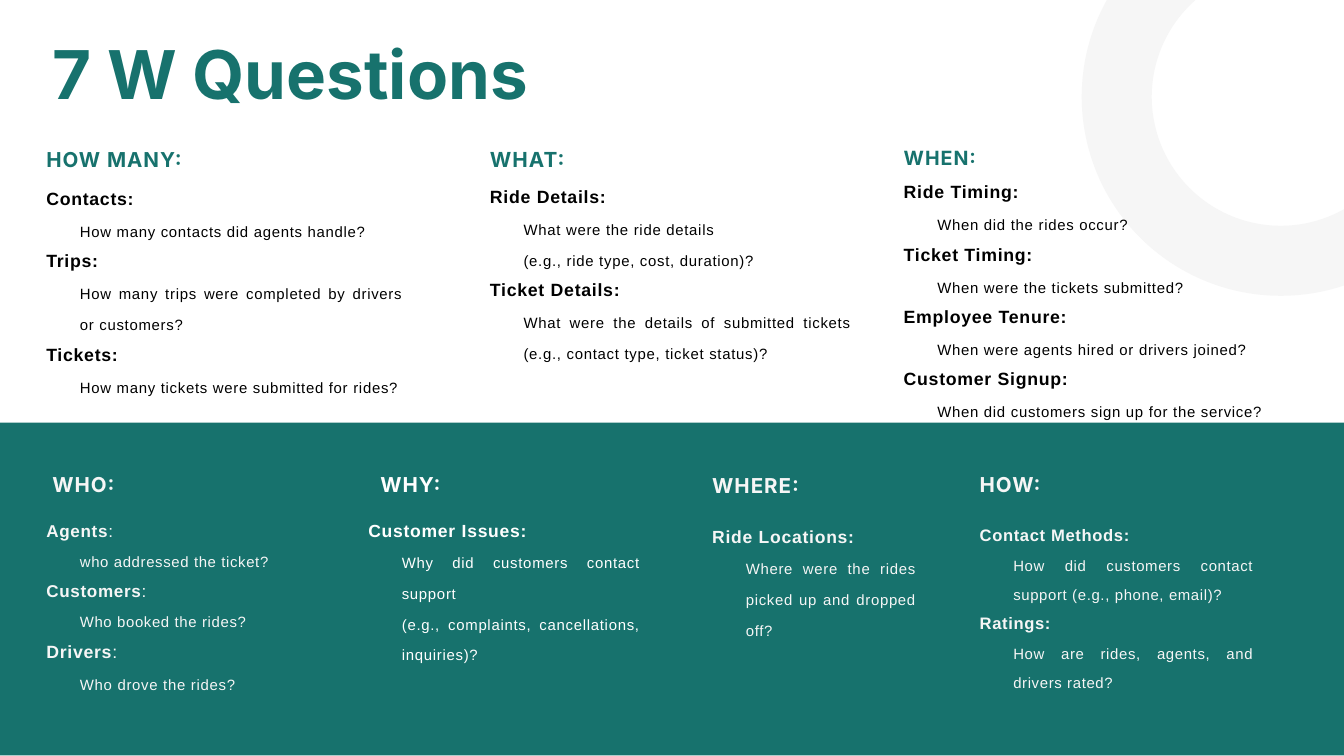
from pptx import Presentation
from pptx.dml.color import RGBColor
from pptx.enum.shapes import MSO_SHAPE
from pptx.enum.text import MSO_AUTO_SIZE, PP_ALIGN
from pptx.util import Cm, Pt

RECT, OVAL = MSO_SHAPE.RECTANGLE, MSO_SHAPE.OVAL
LEFT, JUST = PP_ALIGN.LEFT, PP_ALIGN.JUSTIFY
GROW = MSO_AUTO_SIZE.SHAPE_TO_FIT_TEXT

TEAL, PALE, WHITE, BLACK = "17726D", "F6F6F6", "FFFFFF", "000000"
HEAD, BODY = "Inter", "Arial"
WIDE, HIGH = 50.8, 28.58
BAND = 15.98


def color(code):
    return RGBColor.from_string(code)


class Deck:
    def __init__(self):
        self.prs = Presentation()
        self.prs.slide_width, self.prs.slide_height = Cm(WIDE), Cm(HIGH)
        self.slide = self.prs.slides.add_slide(self.prs.slide_layouts[6])

    def shape(self, kind, x, y, w, h, fill=None, line=None, width=0):
        item = self.slide.shapes.add_shape(kind, Cm(x), Cm(y), Cm(w), Cm(h))
        item.shadow.inherit = False
        if fill:
            item.fill.solid()
            item.fill.fore_color.rgb = color(fill)
        else:
            item.fill.background()
        if line:
            item.line.color.rgb = color(line)
            item.line.width = Pt(width)
        else:
            item.line.fill.background()

    def box(self, x, y, w, h):
        frame = self.slide.shapes.add_textbox(Cm(x), Cm(y), Cm(w), Cm(h)).text_frame
        frame.margin_left = frame.margin_right = 0
        frame.margin_top = frame.margin_bottom = 0
        frame.word_wrap = True
        frame.auto_size = GROW
        return frame

    def text(self, frame, *parts, size, font, ink, lead, track=0, align=LEFT, inset=0):
        """Add a paragraph; each part is a (words, bold) pair."""
        para = frame.paragraphs[0]
        if para.runs:
            para = frame.add_paragraph()
        para.alignment = align
        para.line_spacing = Pt(lead)
        if inset:
            para.level = 1
            props = para._p.get_or_add_pPr()
            props.set("marL", str(Cm(inset)))
            props.set("indent", "0")
        for words, bold in parts:
            run = para.add_run()
            run.text = words
            run.font.size, run.font.name, run.font.bold = Pt(size), font, bold
            run.font.color.rgb = color(ink)
            run._r.get_or_add_rPr().set("spc", str(round(track * 100)))

    def head(self, words, x, y, w, size, ink):
        self.text(self.box(x, y, w, 1.04), (words, True), size=size, font=HEAD,
                  ink=ink, lead=1.4 * size, track=0.05 * size)

    def notes(self, x, y, w, h, ink, items, strong=True):
        """Bold terms, each with indented lines; strong makes the colon bold too."""
        frame = self.box(x, y, w, h)
        for term, size, *lines in items:
            style = dict(font=BODY, ink=ink, align=JUST, lead=round(1.757 * size, 1),
                         track=round(0.04 * size, 1))
            self.text(frame, (term, True), (":", strong), size=size, **style)
            for line in lines:
                self.text(frame, (line, False), size=16, inset=1.27, **style)


def main():
    deck = Deck()
    deck.shape(RECT, 0, BAND, WIDE, HIGH - BAND - 0.02, fill=TEAL)
    deck.shape(OVAL, 42.21, -2.54, 12.4, 12.4, line=PALE, width=75)
    deck.text(deck.box(1.98, 1.6, 26.54, 2.77), ("7 W Questions", True),
              size=72, font=HEAD, ink=TEAL, lead=75.6)

    for words, x, y, w, size, ink in (
        ("HOW MANY:", 1.75, 5.41, 5.94, 22, TEAL),
        ("WHAT:", 18.52, 5.41, 5.36, 22.2, TEAL),
        ("WHEN:", 34.16, 5.38, 4.01, 21, TEAL),
        ("WHO:", 1.98, 17.68, 4.5, 22, PALE),
        ("WHY:", 14.38, 17.68, 4.7, 22, WHITE),
        ("WHERE:", 26.92, 17.73, 3.61, 22, PALE),
        ("HOW:", 37.03, 17.68, 3.02, 22, PALE),
    ):
        deck.head(words, x, y, w, size, ink)

    deck.notes(1.75, 6.73, 13.49, 8.08, BLACK, [
        ("Contacts", 19, "How many contacts did agents handle?"),
        ("Trips", 19, "How many trips were completed by drivers or customers?"),
        ("Tickets", 19, "How many tickets were submitted for rides?"),
    ])
    deck.notes(18.52, 6.65, 13.67, 6.91, BLACK, [
        ("Ride Details", 19, "What were the ride details",
         "(e.g., ride type, cost, duration)?"),
        ("Ticket Details", 19, "What were the details of submitted tickets "
         "(e.g., contact type, ticket status)?"),
    ])
    deck.notes(34.16, 6.48, 16.23, 10.44, BLACK, [
        ("Ride Timing", 19, "When did the rides occur?"),
        ("Ticket Timing", 19, "When were the tickets submitted?"),
        ("Employee Tenure", 19, "When were agents hired or drivers joined?"),
        ("Customer Signup", 19, "When did customers sign up for the service?"),
    ])
    deck.notes(1.75, 19.3, 10.62, 6.78, PALE, [
        ("Agents", 18.3, "who addressed the ticket?"),
        ("Customers", 18.3, "Who booked the rides?"),
        ("Drivers", 19, "Who drove the rides?"),
    ], strong=False)
    deck.notes(13.92, 19.28, 10.29, 6.86, WHITE, [
        ("Customer Issues", 18.8, "Why did customers contact support",
         "(e.g., complaints, cancellations, inquiries)?"),
    ])
    deck.notes(26.92, 19.51, 7.72, 4.57, PALE, [
        ("Ride Locations", 18.8, "Where were the rides picked up and dropped off?"),
    ])
    deck.notes(37.03, 19.51, 10.36, 6.5, PALE, [
        ("Contact Methods", 17.8,
         "How did customers contact support (e.g., phone, email)?"),
        ("Ratings", 17.8, "How are rides, agents, and drivers rated?"),
    ])
    deck.prs.save("out.pptx")


if __name__ == "__main__":
    main()
